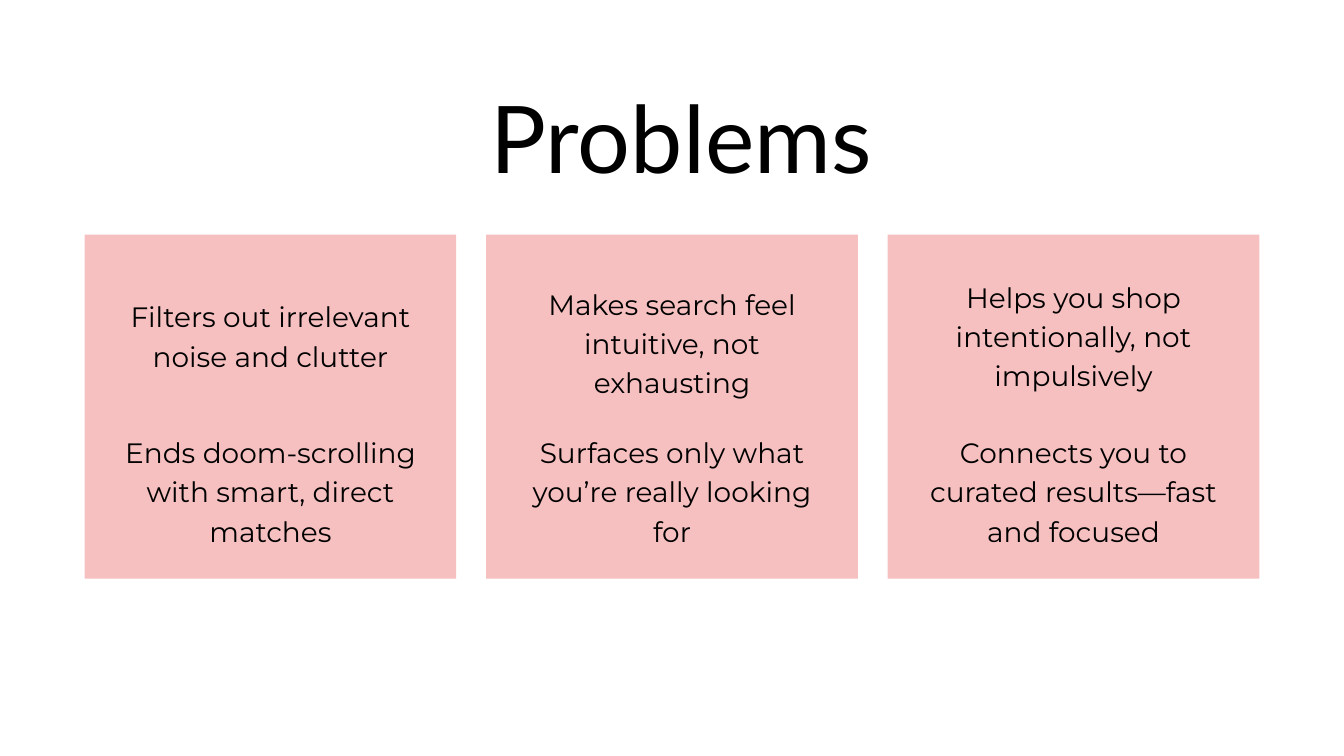
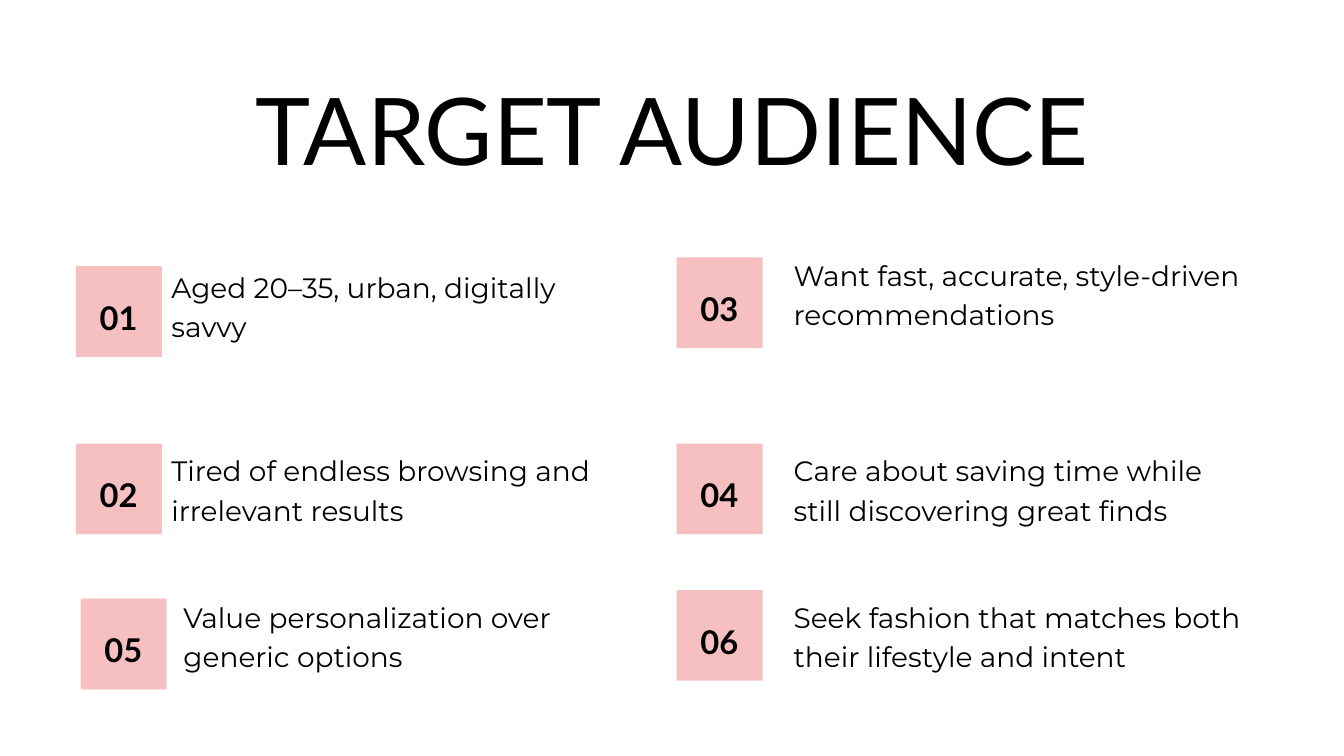
from dataclasses import dataclass

from pptx import Presentation
from pptx.dml.color import RGBColor
from pptx.enum.shapes import MSO_SHAPE as Shape
from pptx.enum.text import MSO_AUTO_SIZE as Fit, PP_ALIGN as Align
from pptx.slide import Slide
from pptx.util import Inches, Pt


@dataclass(frozen=True)
class Theme:
    ink: RGBColor = RGBColor.from_string("000000")
    pink: RGBColor = RGBColor.from_string("F5C0BF")
    paper: RGBColor = RGBColor.from_string("FFFFFF")
    head: str = "Lato"
    body: str = "Montserrat"
    title: int = 100
    label: int = 35
    copy: int = 30
    lead: float = 1.4


@dataclass(frozen=True)
class Box:
    x: float
    y: float
    w: float
    h: float


@dataclass(frozen=True)
class Card:
    """Two messages, with the top and height of the upper one."""
    upper: str
    lower: str
    top: float
    high: float


@dataclass(frozen=True)
class Point:
    """A numbered tile and the place of its message."""
    num: str
    text: str
    x: float
    y: float
    left: float
    top: float
    high: float = 1.15


THEME = Theme()

CARDS = [
    Card("Filters out irrelevant noise and clutter",
         "Ends doom-scrolling with smart, direct matches", 4.38, 1.15),
    Card("Makes search feel intuitive, not exhausting",
         "Surfaces only what you’re really looking for", 4.19, 1.73),
    Card("Helps you shop intentionally, not impulsively",
         "Connects you to curated results—fast and focused", 4.09, 1.73),
]

POINTS = [
    Point("01", "Aged 20–35, urban, digitally savvy",
          1.13, 3.96, 2.55, 3.94, 1.69),
    Point("02", "Tired of endless browsing and irrelevant results",
          1.13, 6.6, 2.55, 6.67),
    Point("03", "Want fast, accurate, style-driven recommendations",
          10.07, 3.83, 11.81, 3.76),
    Point("04", "Care about saving time while still discovering great finds",
          10.07, 6.6, 11.81, 6.67),
    Point("05", "Value personalization over generic options",
          1.2, 8.91, 2.73, 8.85),
    Point("06", "Seek fashion that matches both their lifestyle and intent",
          10.07, 8.78, 11.81, 8.85),
]


def lengths(box: Box) -> list[Inches]:
    return [Inches(n) for n in (box.x, box.y, box.w, box.h)]


def write(slide: Slide, text: str, box: Box, *, size: int = THEME.copy,
          font: str = THEME.body, bold: bool = False,
          align: Align = Align.CENTER) -> None:
    frame = slide.shapes.add_textbox(*lengths(box)).text_frame
    frame.margin_left = frame.margin_right = 0
    frame.margin_top = frame.margin_bottom = 0
    frame.word_wrap = True
    frame.auto_size = Fit.SHAPE_TO_FIT_TEXT
    para = frame.paragraphs[0]
    para.alignment = align
    para.line_spacing = Pt(round(size * THEME.lead))
    run = para.add_run()
    run.text = text
    run.font.name = font
    run.font.size = Pt(size)
    run.font.bold = bold
    run.font.color.rgb = THEME.ink


def panel(slide: Slide, box: Box) -> None:
    shape = slide.shapes.add_shape(Shape.RECTANGLE, *lengths(box))
    shape.shadow.inherit = False
    shape.fill.solid()
    shape.fill.fore_color.rgb = THEME.pink
    shape.line.fill.background()


def start(deck: Presentation, title: str, box: Box) -> Slide:
    """Add a blank slide with its heading."""
    slide = deck.slides.add_slide(deck.slide_layouts[6])
    slide.background.fill.solid()
    slide.background.fill.fore_color.rgb = THEME.paper
    write(slide, title, box, size=THEME.title, font=THEME.head)
    return slide


def problems(deck: Presentation) -> None:
    slide = start(deck, "Problems", Box(5.84, 0.92, 8.59, 1.87))
    wide, step, inset = 5.53, 5.975, 0.405
    for col, card in enumerate(CARDS):
        x = 1.26 + col * step
        panel(slide, Box(x, 3.49, wide, 5.12))
        inner = wide - 2 * inset
        write(slide, card.upper, Box(x + inset, card.top, inner, card.high))
        write(slide, card.lower, Box(x + inset, 6.4, inner, 1.73))


def audience(deck: Presentation) -> None:
    slide = start(deck, "TARGET AUDIENCE", Box(2, 0.8, 16, 1.87))
    for item in POINTS:
        panel(slide, Box(item.x, item.y, 1.28, 1.35))
        write(slide, item.num, Box(item.x - 0.08, item.y + 0.37, 1.43, 0.63),
              size=THEME.label, font=THEME.head, bold=True)
        write(slide, item.text, Box(item.left, item.top, 6.69, item.high),
              align=Align.LEFT)


def main() -> None:
    deck = Presentation()
    deck.slide_width = Inches(20)
    deck.slide_height = Inches(11.25)
    problems(deck)
    audience(deck)
    deck.save("out.pptx")


if __name__ == "__main__":
    main()
